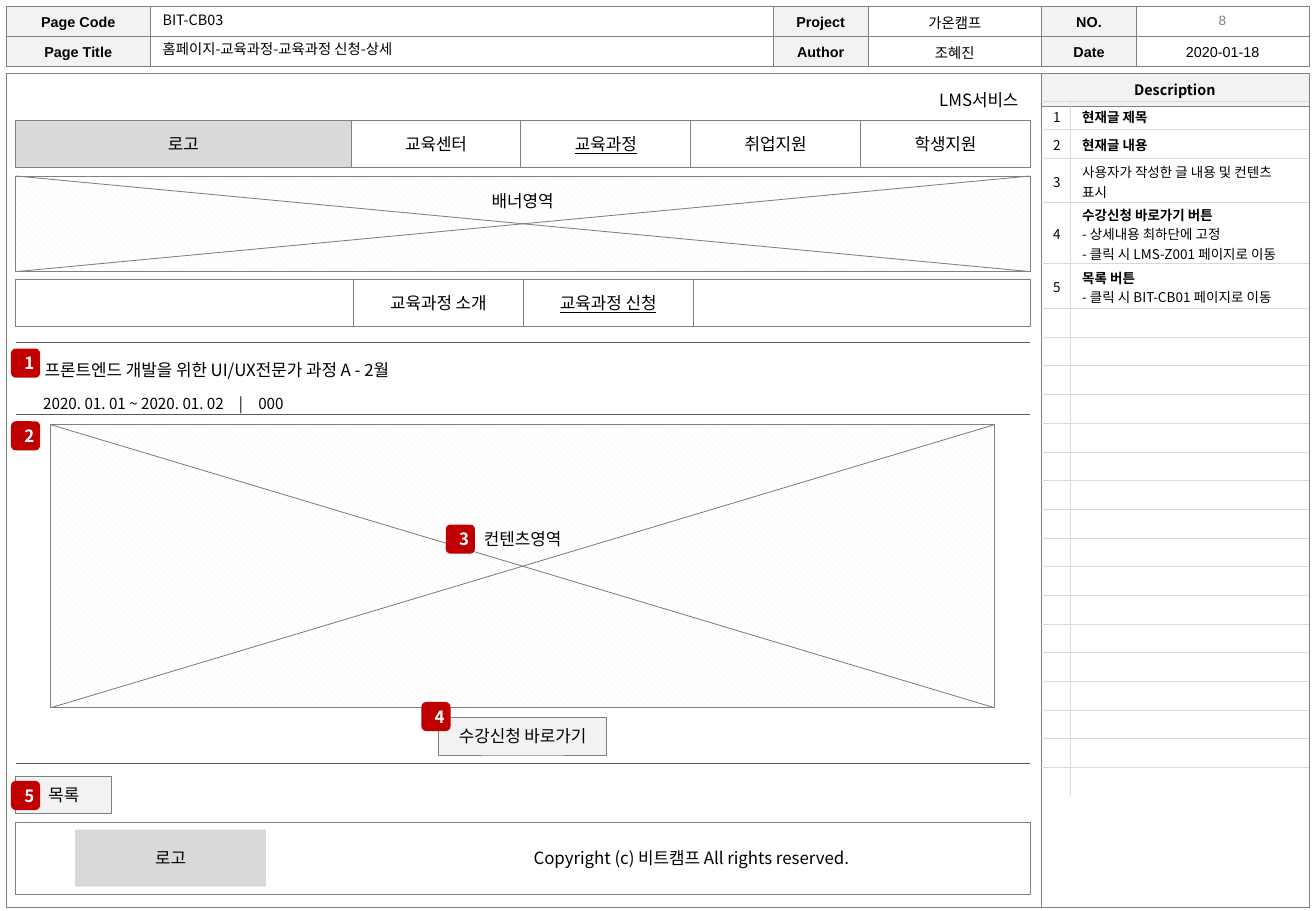
from dataclasses import dataclass

from lxml.etree import SubElement
from pptx import Presentation
from pptx.dml.color import RGBColor
from pptx.enum.dml import MSO_PATTERN
from pptx.enum.shapes import MSO_CONNECTOR, MSO_SHAPE
from pptx.enum.text import MSO_ANCHOR, PP_ALIGN
from pptx.oxml.ns import qn
from pptx.util import Cm, Pt


@dataclass
class Theme:
    sans: str = "Noto Sans CJK KR"
    latin: str = "Arial"
    ink: str = "000000"
    white: str = "FFFFFF"
    pale: str = "F2F2F2"
    grid: str = "D9D9D9"
    muted: str = "7F7F7F"
    edge: str = "808080"
    rule: str = "595959"
    badge: str = "C00000"
    body: float = 10
    date: float = 9
    head: float = 8.5
    note: float = 8


class Wireframe:
    def __init__(self, page, theme):
        self.page = page
        self.theme = theme

    def style(self, para, size, color=None, bold=False, underline=False, face=None, align=PP_ALIGN.LEFT):
        para.alignment = align
        font = para.font
        font.size, font.bold, font.underline = Pt(size), bold, underline
        font.color.rgb = RGBColor.from_string(color or self.theme.ink)
        font.name = face or self.theme.sans
        SubElement(font._rPr, qn("a:ea"), typeface=self.theme.sans)

    def text(self, words, left, top, width, height, size=None, align=PP_ALIGN.CENTER,
             anchor=MSO_ANCHOR.TOP, **look):
        box = self.page.shapes.add_textbox(Cm(left), Cm(top), Cm(width), Cm(height))
        frame = box.text_frame
        frame.word_wrap = True
        frame.vertical_anchor = anchor
        frame.text = words
        self.style(frame.paragraphs[0], size or self.theme.body, align=align, **look)

    def box(self, left, top, width, height, words="", fill=None, outlined=True,
            kind=MSO_SHAPE.RECTANGLE, **look):
        shape = self.page.shapes.add_shape(kind, Cm(left), Cm(top), Cm(width), Cm(height))
        shape.shadow.inherit = False
        shape.fill.solid()
        shape.fill.fore_color.rgb = RGBColor.from_string(fill or self.theme.white)
        if outlined:
            self.stroke(shape.line)
        else:
            shape.line.fill.background()
        if words:
            frame = shape.text_frame
            frame.vertical_anchor = MSO_ANCHOR.MIDDLE
            frame.text = words
            self.style(frame.paragraphs[0], self.theme.body, align=PP_ALIGN.CENTER, **look)
        return shape

    def stroke(self, line):
        line.color.rgb = RGBColor.from_string(self.theme.edge)
        line.width = Pt(0.5)

    def badge(self, number, left, top):
        self.box(left, top, 0.61, 0.61, str(number), self.theme.badge, False,
                 MSO_SHAPE.ROUNDED_RECTANGLE, color=self.theme.white, bold=True)

    def crossed_area(self, left, top, width, height):
        fill = self.box(left, top, width, height).fill
        fill.patterned()
        fill.pattern = MSO_PATTERN.WIDE_DOWNWARD_DIAGONAL
        fill.fore_color.rgb = RGBColor.from_string(self.theme.pale)
        fill.back_color.rgb = RGBColor.from_string(self.theme.white)
        for start, end in ((top, top + height), (top + height, top)):
            line = self.page.shapes.add_connector(
                MSO_CONNECTOR.STRAIGHT, Cm(left), Cm(start), Cm(left + width), Cm(end))
            self.stroke(line.line)
            SubElement(line._element.spPr, qn("a:effectLst"))

    def table(self, left, top, columns, rows):
        table = self.page.shapes.add_table(
            len(rows), len(columns), Cm(left), Cm(top), Cm(sum(columns)), Cm(sum(rows))).table
        table.first_row = table.horz_banding = False
        for column, width in zip(table.columns, columns):
            column.width = Cm(width)
        for row, height in zip(table.rows, rows):
            row.height = Cm(height)
        return table

    def cell(self, cell, lines, borders, color, fill=None, inset=None):
        properties = cell._tc.get_or_add_tcPr()
        for side in "LRTB":
            width = borders.get(side, 0)
            line = SubElement(properties, qn(f"a:ln{side}"), w=str(Pt(width)))
            if width:
                paint = SubElement(line, qn("a:solidFill"))
                SubElement(paint, qn("a:srgbClr"), val=color)
            else:
                SubElement(line, qn("a:noFill"))
        if fill:
            cell.fill.solid()
            cell.fill.fore_color.rgb = RGBColor.from_string(fill)
        else:
            cell.fill.background()
        cell.vertical_anchor = MSO_ANCHOR.MIDDLE
        if inset is not None:
            cell.margin_top, cell.margin_bottom = Cm(inset), Cm(0)
        if not lines:
            SubElement(cell.text_frame.paragraphs[0]._p, qn("a:endParaRPr"), sz="800")
            return
        cell.text = "\n".join(words for words, look in lines)
        for para, (words, look) in zip(cell.text_frame.paragraphs, lines):
            self.style(para, **look)


def draw_frame(wire):
    theme = wire.theme
    around = dict.fromkeys("LRTB", 0.25)
    heading = dict(size=theme.head, bold=True, align=PP_ALIGN.CENTER)
    panel = wire.table(0.13, 1.53, [21.63, 5.6], [0.69, 16.76])
    wire.cell(panel.cell(0, 0), [], {"L": 0.25, "T": 0.25, "R": 0.25}, theme.edge)
    wire.cell(panel.cell(1, 0), [], {"L": 0.25, "B": 0.25, "R": 0.25}, theme.edge)
    wire.cell(panel.cell(0, 1), [("Description", heading)], around, theme.edge, theme.pale)
    wire.cell(panel.cell(1, 1), [], around, theme.edge)

    header = wire.table(0.13, 0.13, [3.01, 13.02, 1.99, 3.62, 1.99, 3.6], [0.63, 0.63])
    entries = [["Page Code", "", "Project", "가온캠프", "NO.", ""],
               ["Page Title", "", "Author", "조혜진", "Date", "2020-01-18"]]
    for row, words_in_row in enumerate(entries):
        for column, words in enumerate(words_in_row):
            label = column % 2 == 0
            look = dict(heading, bold=label, face=theme.latin)
            cell = header.cell(row, column)
            cell.margin_left = cell.margin_right = Cm(0.1)
            wire.cell(cell, [(words, look)] if words else [], around, theme.edge,
                      theme.pale if label else None, 0.05)
    wire.text("8", 23.75, 0.13, 3.61, 0.6, theme.note, color=theme.muted, face=theme.latin)
    for words, top in (("BIT-CB03", 0.1), ("홈페이지-교육과정-교육과정 신청-상세", 0.71)):
        wire.text(words, 3.15, top, 13, 0.6, theme.head, PP_ALIGN.LEFT)


def draw_notes(wire):
    theme = wire.theme
    plain = dict(size=theme.note)
    strong = dict(plain, bold=True)
    centred = dict(plain, align=PP_ALIGN.CENTER)
    notes = [
        [("현재글 제목", strong)],
        [("현재글 내용", strong)],
        [("사용자가 작성한 글 내용 및 컨텐츠 표시", plain)],
        [("수강신청 바로가기 버튼", strong), ("- 상세내용 최하단에 고정", plain),
         ("- 클릭 시 LMS-Z001 페이지로 이동", plain)],
        [("목록 버튼", strong), ("- 클릭 시 BIT-CB01 페이지로 이동", plain)],
    ]
    heights = [0.6, 0.6, 0.92, 1.28, 0.94] + [0.6] * 17
    table = wire.table(21.76, 2.11, [0.6, 5], heights)
    for row in range(len(heights)):
        lines = notes[row] if row < len(notes) else []
        number = [(str(row + 1), centred)] if lines else []
        edges = {"T": 0.5} if row == len(heights) - 1 else {"T": 0.5, "B": 0.5}
        wire.cell(table.cell(row, 0), number, dict(edges, R=0.5), theme.grid, inset=0.04)
        wire.cell(table.cell(row, 1), lines, dict(edges, L=0.5), theme.grid, inset=0.04)


def draw_screen(wire):
    theme = wire.theme
    left, width, tab = 0.33, 21.21, 3.55
    wire.text("LMS서비스", 11.05, 1.65, 10.49, 0.86, align=PP_ALIGN.RIGHT, anchor=MSO_ANCHOR.MIDDLE)
    wire.box(left, 2.52, 7.01, 0.99, "로고", theme.grid)
    for index, words in enumerate(["교육센터", "교육과정", "취업지원", "학생지원"]):
        wire.box(7.34 + tab * index, 2.52, tab, 0.99, words, underline=words == "교육과정")
    wire.crossed_area(left, 3.68, width, 2)
    wire.text("배너영역", 9.96, 3.86, 1.93, 0.69)
    wire.box(left, 5.84, width, 0.99)
    for index, words in enumerate(["교육과정 소개", "교육과정 신청"]):
        wire.box(7.39 + tab * index, 5.84, tab, 0.99, words, underline=index == 1)

    post = wire.table(left, 7.16, [width], [1.5, 7.29])
    lines = [("\u3000프론트엔드 개발을 위한 UI/UX전문가 과정 A - 2월".replace("\u3000", "　"), dict(size=theme.body)),
             ("　2020. 01. 01 ~ 2020. 01. 02　|　000", dict(size=theme.date))]
    wire.cell(post.cell(0, 0), lines, {"T": 0.75, "B": 0.25}, theme.rule, inset=0.05)
    wire.cell(post.cell(1, 0), [], {"T": 0.25, "B": 0.25}, theme.rule)
    for para in post.cell(0, 0).text_frame.paragraphs:
        para.line_spacing = 1.5

    wire.crossed_area(1.06, 8.88, 19.73, 5.92)
    wire.text("컨텐츠영역", 9.78, 10.92, 2.29, 0.69)
    wire.box(9.17, 15, 3.51, 0.79, "수강신청 바로가기", theme.pale)
    wire.box(left, 16.23, 2.01, 0.79, "목록", theme.pale)
    wire.box(left, 17.2, width, 1.5)
    wire.box(1.57, 17.35, 3.99, 1.19, "로고", theme.grid, False)
    wire.text("Copyright (c) 비트캠프 All rights reserved.", 7.34, 17.6, 14.22, 0.69)
    spots = [(0.23, 7.29), (0.23, 8.81), (9.32, 10.97), (8.81, 14.68), (0.23, 16.33)]
    for number, spot in enumerate(spots, 1):
        wire.badge(number, *spot)


def main():
    deck = Presentation()
    deck.slide_width, deck.slide_height = Cm(27.51), Cm(19.05)
    wire = Wireframe(deck.slides.add_slide(deck.slide_layouts[6]), Theme())
    draw_frame(wire)
    draw_notes(wire)
    draw_screen(wire)
    deck.save("out.pptx")


if __name__ == "__main__":
    main()
